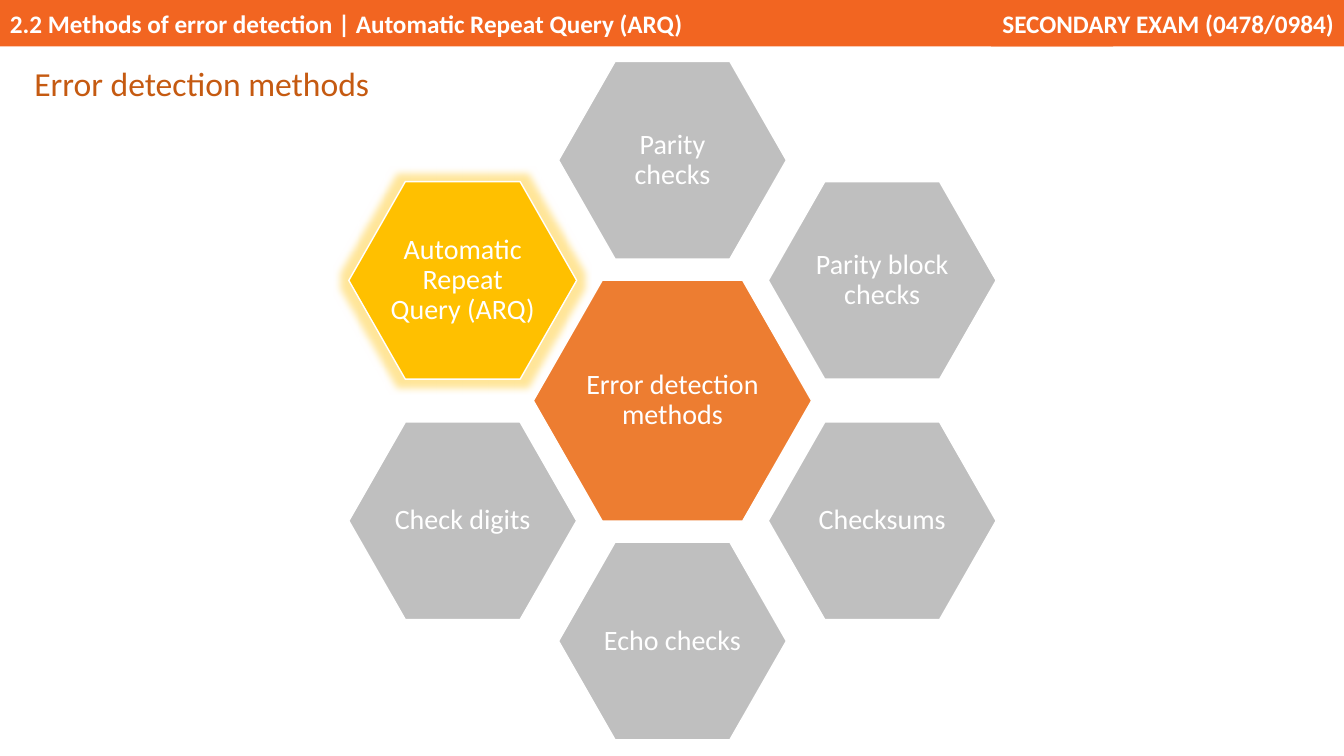
from math import cos, radians, sin

from lxml.etree import SubElement
from pptx import Presentation
from pptx.dml.color import RGBColor
from pptx.enum.shapes import MSO_SHAPE
from pptx.enum.text import MSO_ANCHOR, MSO_AUTO_SIZE, PP_ALIGN
from pptx.oxml.ns import qn
from pptx.util import Inches, Pt

WHITE, BANNER, TITLE = "FFFFFF", "F26521", "C55A11"
ORANGE, GREY, GOLD = "ED7D31", "BFBFBF", "FFC000"
METHODS = ["Parity checks", "Parity block checks", "Checksums", "Echo checks",
           "Check digits", "Automatic Repeat Query (ARQ)"]
CURRENT_METHOD = METHODS[-1]


def paint(color_format, color):
    color_format.rgb = RGBColor.from_string(color)


def write(shape, text, size, color, align, bold=False):
    shape.text_frame.word_wrap = True
    paragraph = shape.text_frame.paragraphs[0]
    paragraph.text = text
    paragraph.alignment = align
    font = paragraph.font
    font.name, font.size, font.bold = "Calibri", Pt(size), bold
    paint(font.color, color)
    return paragraph


def add_filled(page, kind, left, top, width, height, color):
    shape = page.shapes.add_shape(kind, Inches(left), Inches(top), Inches(width), Inches(height))
    shape.shadow.inherit = False
    shape.fill.solid()
    paint(shape.fill.fore_color, color)
    shape.text_frame.vertical_anchor = MSO_ANCHOR.MIDDLE
    return shape


def add_banner(page, left, top, width, height):
    parts = [
        (left, 11.04, "2.2 Methods of error detection | Automatic Repeat Query (ARQ)", PP_ALIGN.LEFT),
        (left + width - 3.5, 3.5, "SECONDARY EXAM (0478/0984)", PP_ALIGN.RIGHT),
    ]
    for part_left, part_width, text, align in parts:
        bar = add_filled(page, MSO_SHAPE.RECTANGLE, part_left, top, part_width, height, BANNER)
        bar.line.fill.background()
        write(bar, text, 18, WHITE, align, bold=True)


def add_title(page, left, top, width, height):
    title = page.shapes.title
    title.left, title.top = Inches(left), Inches(top)
    title.width, title.height = Inches(width), Inches(height)
    title.text_frame.vertical_anchor = MSO_ANCHOR.TOP
    title.text_frame.auto_size = MSO_AUTO_SIZE.NONE
    paragraph = write(title, "Error detection methods", 24, TITLE, PP_ALIGN.LEFT)
    paragraph.line_spacing = 1.07


def add_hexagon(page, center_x, center_y, width, height, text, color):
    hexagon = add_filled(page, MSO_SHAPE.HEXAGON, center_x - width / 2, center_y - height / 2,
                         width, height, color)
    hexagon.adjustments[0] = 0.286
    paint(hexagon.line.color, WHITE)
    hexagon.line.width = Pt(1)
    frame = hexagon.text_frame
    frame.margin_left = frame.margin_right = Inches(0.03)
    frame.margin_top = frame.margin_bottom = Inches(0.03)
    write(hexagon, text, 20, WHITE, PP_ALIGN.CENTER).line_spacing = 0.9
    return hexagon


def add_glow(shape, color, radius, opacity):
    effects = shape._element.spPr.find(qn("a:effectLst"))
    glow = SubElement(effects, qn("a:glow"), rad=str(Pt(radius)))
    tint = SubElement(glow, qn("a:srgbClr"), val=color)
    SubElement(tint, qn("a:alpha"), val=str(opacity * 1000))


def add_method_ring(page, left, top, width, height):
    """Place the methods clockwise from the top, around the central hexagon."""
    outer_width, outer_height = 2.26, 1.96
    center_x, center_y = left + width / 2, top + height / 2
    radius_x = (width - outer_width) / 2 / sin(radians(60))
    radius_y = (height - outer_height) / 2
    add_hexagon(page, center_x, center_y, 2.76, 2.39, "Error detection methods", ORANGE)
    for index, method in enumerate(METHODS):
        angle = radians(index * 360 / len(METHODS))
        current = method == CURRENT_METHOD
        hexagon = add_hexagon(page, center_x + radius_x * sin(angle),
                              center_y - radius_y * cos(angle), outer_width, outer_height,
                              method, GOLD if current else GREY)
        if current:
            add_glow(hexagon, GOLD, 11, 40)


def main():
    deck = Presentation()
    deck.slide_width, deck.slide_height = Inches(13.33), Inches(7.5)
    page = deck.slides.add_slide(deck.slide_layouts[5])
    add_banner(page, 0, 0, 13.33, 0.46)
    add_title(page, 0.24, 0.55, 5.79, 0.51)
    add_method_ring(page, 3.46, 0.61, 6.42, 6.73)
    deck.save("out.pptx")


if __name__ == "__main__":
    main()
